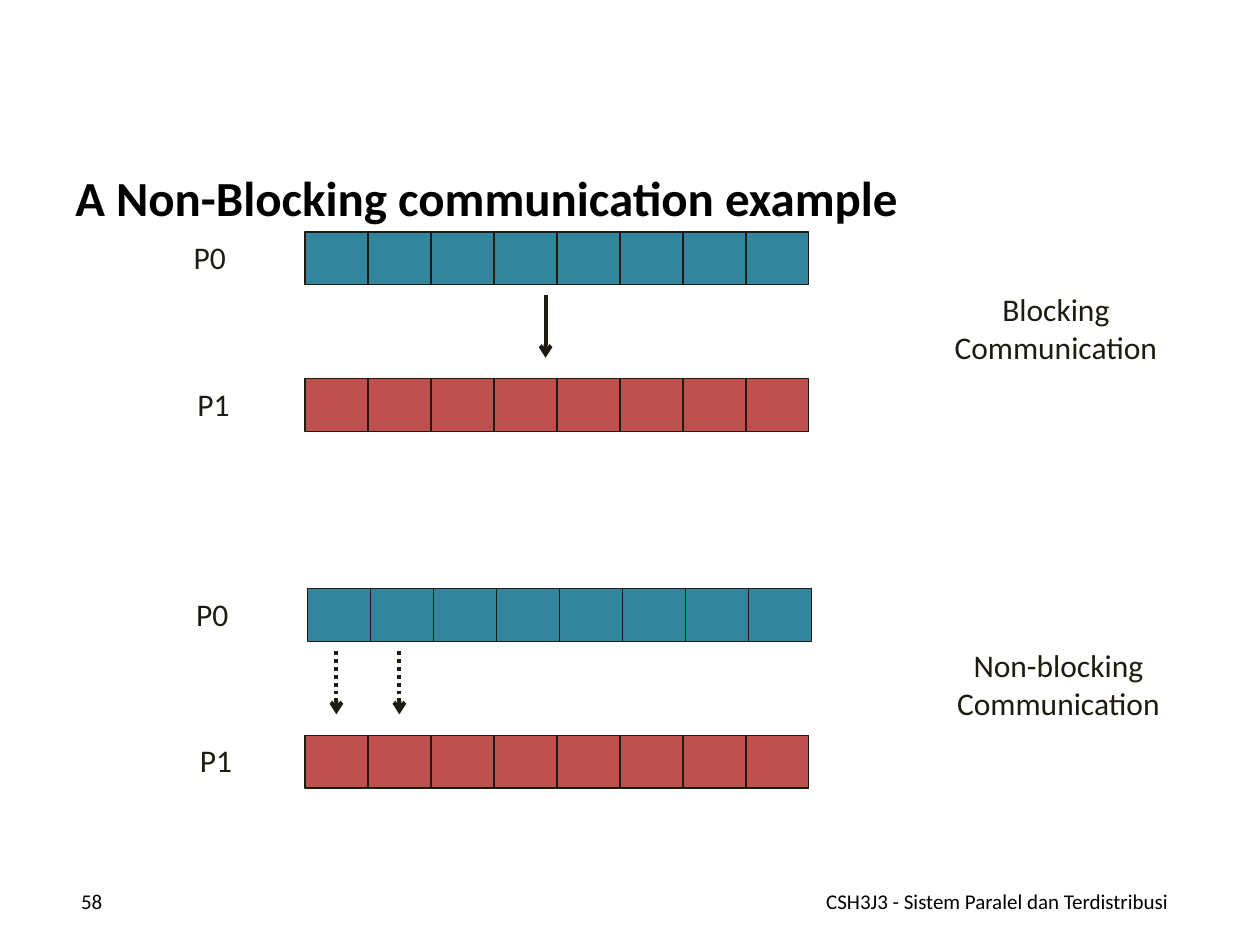
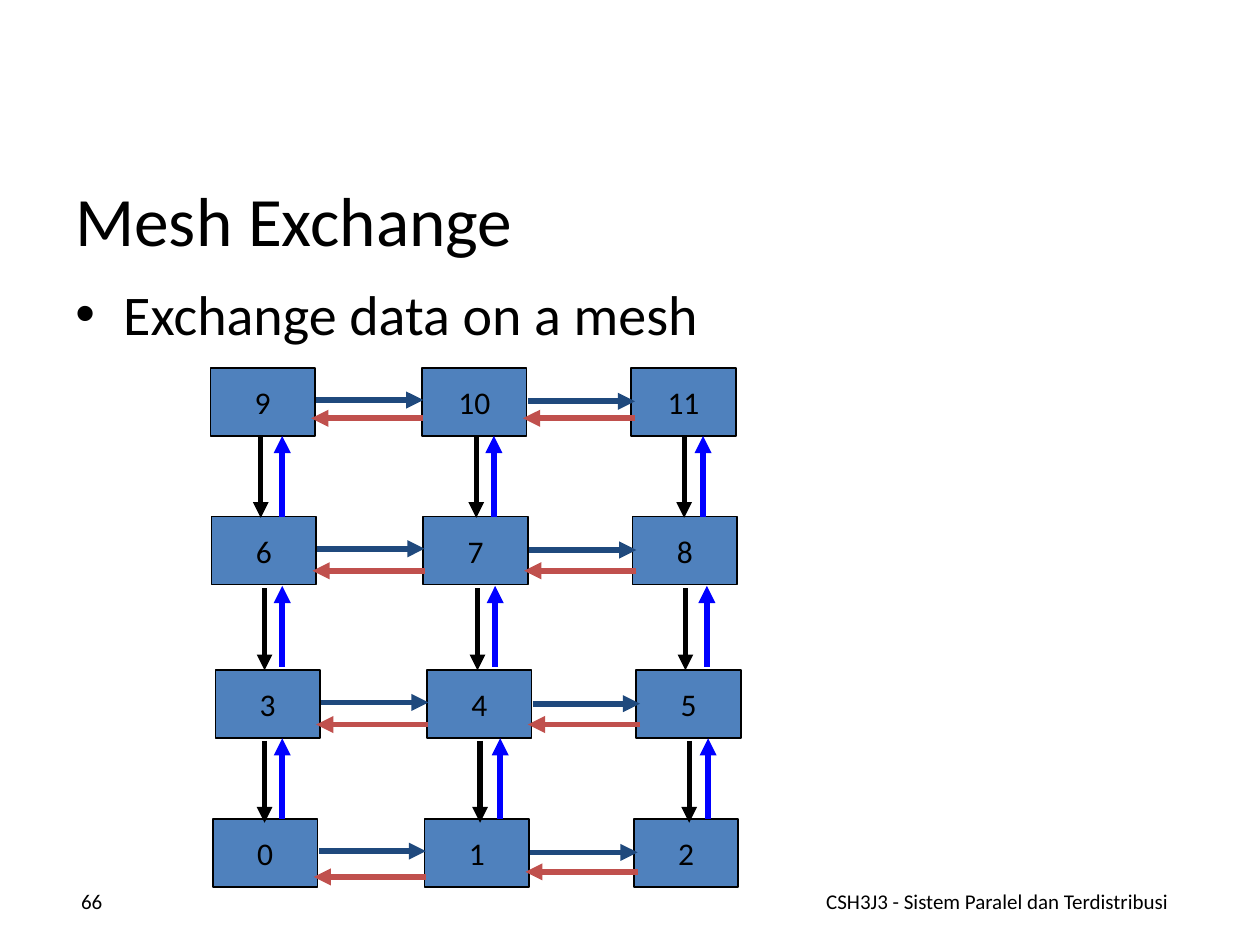
import lxml.etree
import pptx
import pptx.dml.color
import pptx.enum.dml
import pptx.enum.shapes
import pptx.enum.text
import pptx.oxml.ns
import pptx.util

# Shared look
COLOURS = {
    "text": "000000", "ink": "1E1C11", "sender": "31859C", "receiver": "C0504D",
    "node": "4F81BD", "down": "000000", "up": "0000FF",
    "right": "1F497D", "left": "C0504D",
}
FONT = "Calibri"
FOOTER = "CSH3J3 - Sistem Paralel dan Terdistribusi"
ALIGN = pptx.enum.text.PP_ALIGN
ANCHOR = pptx.enum.text.MSO_ANCHOR
RECTANGLE = pptx.enum.shapes.MSO_SHAPE.RECTANGLE
STRAIGHT = pptx.enum.shapes.MSO_CONNECTOR.STRAIGHT

# The slide is a grid of 10 columns by 7.5 rows
WIDTH, HEIGHT = pptx.util.Inches(10), pptx.util.Inches(7.5)
COLUMN, ROW = WIDTH / 10, HEIGHT / 7.5

# Message arrays: eight cells each
CELL_COUNT, CELL_WIDTH, CELL_HEIGHT = 8, 0.5, 0.42

# Mesh: row top, row shift, offsets of the left arrows
NODE_WIDTH, NODE_HEIGHT = 0.83, 0.54
NODE_COLUMNS = [1.67, 3.35, 5.01]
NODE_ROWS = [
    (2.92, 0, (0.4, 0.4)),
    (4.1, 0.01, (0.43, 0.43)),
    (5.32, 0.04, (0.43, 0.43)),
    (6.5, 0.02, (0.46, 0.42)),
]
# Between rows: top and columns of the down arrows, then of the up arrows
ROW_GAPS = [
    (3.46, (2.07, 3.78, 5.43), 3.46, (2.24, 3.92, 5.58)),
    (4.67, (2.1, 3.79, 5.44), 4.65, (2.24, 3.93, 5.61)),
    (5.88, (2.1, 3.81, 5.47), 5.86, (2.24, 3.97, 5.62)),
]


def grid(*lengths):
    """Turn column and row counts, in turn, into slide lengths."""
    return [round(length * (ROW if i % 2 else COLUMN)) for i, length in enumerate(lengths)]


def colour(name):
    return pptx.dml.color.RGBColor.from_string(COLOURS[name])


def set_all(target, values):
    for name, value in values.items():
        setattr(target, name, value)


def write(box, text, size, shade="text", align=ALIGN.CENTER, anchor=ANCHOR.MIDDLE,
          bold=False, wrap=True, bullet=False):
    set_all(box.text_frame, {"word_wrap": wrap, "vertical_anchor": anchor})
    para = box.text_frame.paragraphs[0]
    para.alignment = align
    if bullet:
        properties = para._p.get_or_add_pPr()
        indent = pptx.util.Inches(0.38)
        properties.set("marL", str(indent))
        properties.set("indent", str(-indent))
        for tag, key, value in (("a:buFont", "typeface", "Arial"), ("a:buChar", "char", "•")):
            mark = lxml.etree.SubElement(properties, pptx.oxml.ns.qn(tag))
            mark.set(key, value)
    span = para.add_run()
    span.text = text
    set_all(span.font, {"name": FONT, "size": pptx.util.Pt(size), "bold": bold})
    span.font.color.rgb = colour(shade)


def add_text(page, area, text, size, **style):
    write(page.shapes.add_textbox(*grid(*area)), text, size, **style)


def add_rectangle(page, area, fill, line, weight):
    box = page.shapes.add_shape(RECTANGLE, *grid(*area))
    box.shadow.inherit = False
    box.fill.solid()
    box.fill.fore_color.rgb = colour(fill)
    box.line.color.rgb = colour(line)
    box.line.width = pptx.util.Pt(weight)
    return box


def add_arrow(page, start, end, shade, weight, head="triangle", dash=None):
    arrow = page.shapes.add_connector(STRAIGHT, *grid(*start, *end))
    arrow.line.color.rgb = colour(shade)
    set_all(arrow.line, {"width": pptx.util.Pt(weight), "dash_style": dash})
    properties = arrow._element.spPr
    outline = properties.find(pptx.oxml.ns.qn("a:ln"))
    lxml.etree.SubElement(outline, pptx.oxml.ns.qn("a:tailEnd")).set("type", head)
    lxml.etree.SubElement(properties, pptx.oxml.ns.qn("a:effectLst"))


def add_page(deck, number, title, title_top, title_size, bold=False):
    page = deck.slides.add_slide(deck.slide_layouts[6])
    add_text(page, (0.5, title_top, 9, 0.63), title, title_size, align=ALIGN.LEFT, bold=bold)
    add_text(page, (6.33, 6.95, 3.17, 0.4), FOOTER, 12)
    add_text(page, (0.33, 6.95, 0.58, 0.4), number, 12, align=ALIGN.RIGHT)
    return page


def add_process(page, name, label_left, left, top, fill):
    """A labelled array of message cells."""
    for i in range(CELL_COUNT):
        area = (left + i * CELL_WIDTH, top, CELL_WIDTH, CELL_HEIGHT)
        add_rectangle(page, area, fill, "ink", 0.75)
    add_text(page, (label_left, top, 0.67, 0.4), name, 18, shade="ink", anchor=ANCHOR.TOP)


def add_exchange(page, caption, top, offset, sender_left, arrow_columns, dash=None):
    """Two processes, the arrows between them and a caption."""
    add_process(page, "P0", 1.33 + offset, sender_left, top, "sender")
    add_process(page, "P1", 1.36 + offset, 2.42, top + 1.165, "receiver")
    for column in arrow_columns:
        add_arrow(page, (column, top + 0.5), (column, top + 1), "ink", 2.25, "arrow", dash)
    add_text(page, (7.17 + offset, top + 0.41, 2.42, 0.71), caption, 18,
             shade="ink", anchor=ANCHOR.TOP)


def add_mesh(page):
    # Nodes, numbered upwards from the bottom row
    for row, (top, shift, _) in enumerate(NODE_ROWS):
        for column, left in enumerate(NODE_COLUMNS):
            area = (left + shift, top, NODE_WIDTH, NODE_HEIGHT)
            node = add_rectangle(page, area, "node", "text", 1)
            number = (len(NODE_ROWS) - 1 - row) * len(NODE_COLUMNS) + column
            write(node, str(number), 18, wrap=False)

    # Arrows between rows
    for down_top, down_columns, up_top, up_columns in ROW_GAPS:
        for x in down_columns:
            add_arrow(page, (x, down_top), (x, down_top + 0.65), "down", 3)
        for x in up_columns:
            add_arrow(page, (x, up_top + 0.64), (x, up_top), "up", 3.25)

    # Arrows between columns
    for top, shift, left_offsets in NODE_ROWS:
        for column, left_offset in enumerate(left_offsets):
            start = NODE_COLUMNS[column] + shift + NODE_WIDTH + 0.01
            end = start + 0.85
            y = top + 0.255 + 0.01 * column
            add_arrow(page, (start, y), (end, y), "right", 3.25)
            y = top + left_offset
            add_arrow(page, (end, y), (start - 0.04, y), "left", 3.25)


def main():
    deck = pptx.Presentation()
    set_all(deck, {"slide_width": WIDTH, "slide_height": HEIGHT})

    # Blocking against non-blocking
    page = add_page(deck, "58", "A Non-Blocking communication example", 1.25, 28, bold=True)
    add_exchange(page, "Blocking Communication", 1.84, 0, 2.42, [4.33])
    add_exchange(page, "Non-blocking Communication", 4.67, 0.02, 2.44, [2.67, 3.17],
                 pptx.enum.dml.MSO_LINE.ROUND_DOT)

    # Mesh exchange
    page = add_page(deck, "66", "Mesh Exchange", 1.42, 39.6)
    add_text(page, (0.5, 2.17, 9, 4.53), "Exchange data on a mesh", 32,
             align=ALIGN.LEFT, anchor=ANCHOR.TOP, bullet=True)
    add_mesh(page)

    deck.save("out.pptx")


if __name__ == "__main__":
    main()
